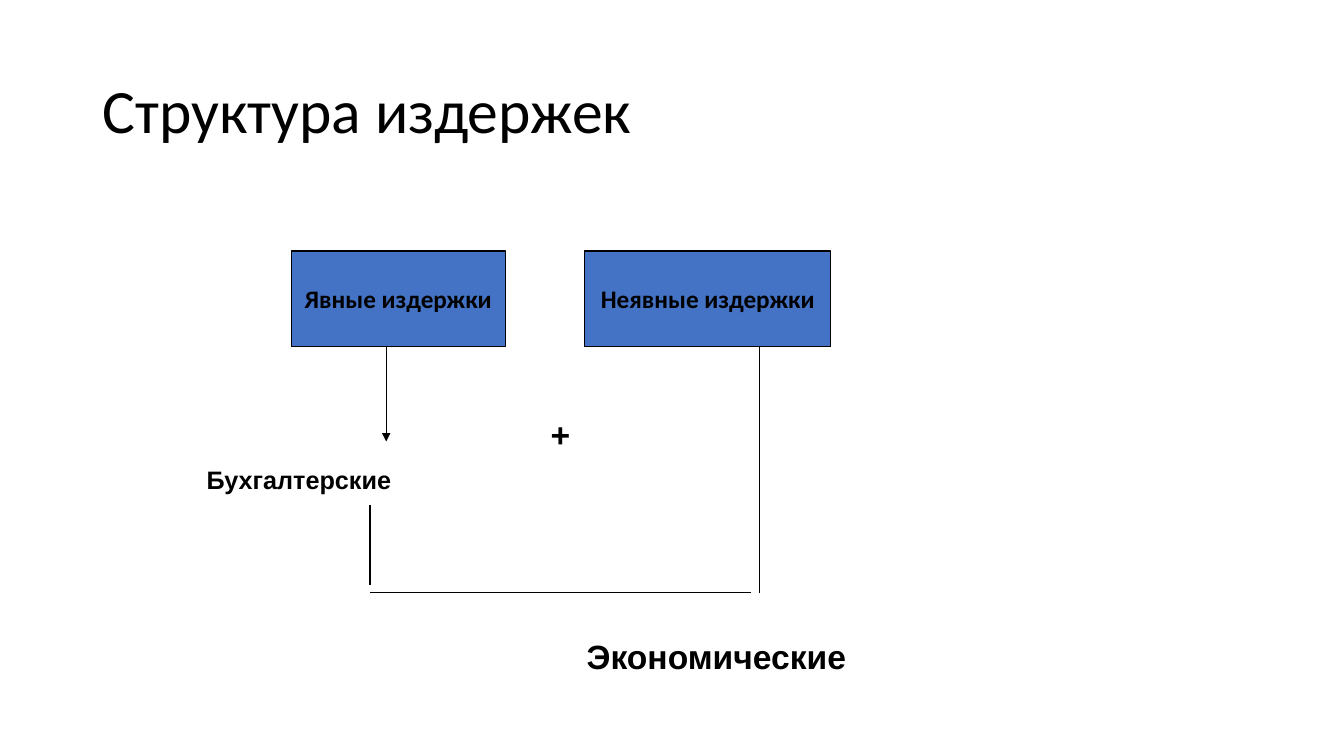
"""Build the cost structure slide."""
from lxml.etree import SubElement
from pptx import Presentation
from pptx.dml.color import RGBColor
from pptx.enum.shapes import MSO_CONNECTOR, MSO_SHAPE
from pptx.enum.text import MSO_ANCHOR, PP_ALIGN
from pptx.oxml.ns import qn
from pptx.util import Inches, Pt

BLACK = RGBColor(0x00, 0x00, 0x00)
BLUE = RGBColor(0x44, 0x72, 0xC4)

TITLE = ("Структура издержек", 0.92, 0.4, 11.5, 1.45)
BOX_TOP, BOX_HEIGHT = 2.49, 0.95
BOX_BOTTOM = BOX_TOP + BOX_HEIGHT
COST_BOXES = [("Явные издержки", 2.89, 2.12), ("Неявные издержки", 5.8, 2.44)]
LABELS = [
    ("Бухгалтерские", 1.95, 4.56, 2.03, 0.4, 18, False),
    ("+", 5.01, 4.06, 1.1, 0.5, 24, True),
    ("Экономические", 5.49, 6.26, 3.23, 0.5, 24, True),
]
BRACKET_LEFT, BRACKET_RIGHT, BRACKET_BOTTOM = 3.67, 7.53, 5.88
GAP = 0.08
LINES = [
    (3.83, BOX_BOTTOM, 3.83, 4.38, True),
    (BRACKET_LEFT, 5.01, BRACKET_LEFT, BRACKET_BOTTOM - GAP, False),
    (BRACKET_LEFT, BRACKET_BOTTOM, BRACKET_RIGHT - GAP, BRACKET_BOTTOM, False),
    (BRACKET_RIGHT, BRACKET_BOTTOM, BRACKET_RIGHT, BOX_BOTTOM, False),
]


def write(shape, text, size, font, bold=True, align=PP_ALIGN.CENTER,
          anchor=MSO_ANCHOR.MIDDLE, wrap=False):
    frame = shape.text_frame
    frame.text = text
    frame.word_wrap = wrap
    frame.vertical_anchor = anchor
    paragraph = frame.paragraphs[0]
    paragraph.alignment = align
    run_font = paragraph.runs[0].font
    run_font.name, run_font.size, run_font.bold = font, Pt(size), bold
    run_font.color.rgb = BLACK
    return paragraph


def set_outline(line):
    line.color.rgb = BLACK
    line.width = Pt(0.75)


def add_line(slide, x1, y1, x2, y2, arrow):
    connector = slide.shapes.add_connector(
        MSO_CONNECTOR.STRAIGHT, Inches(x1), Inches(y1), Inches(x2), Inches(y2))
    set_outline(connector.line)
    properties = connector._element.spPr
    if arrow:
        SubElement(properties.find(qn("a:ln")), qn("a:tailEnd"), type="triangle")
    SubElement(properties, qn("a:effectLst"))


def main():
    presentation = Presentation()
    presentation.slide_width, presentation.slide_height = Inches(13.33), Inches(7.5)
    slide = presentation.slides.add_slide(presentation.slide_layouts[6])

    text, *place = TITLE
    title = slide.shapes.add_textbox(*map(Inches, place))
    paragraph = write(title, text, 44, "Calibri", bold=False,
                      align=PP_ALIGN.LEFT, wrap=True)
    paragraph.line_spacing = 0.9

    for text, left, width in COST_BOXES:
        box = slide.shapes.add_shape(
            MSO_SHAPE.RECTANGLE, Inches(left), Inches(BOX_TOP),
            Inches(width), Inches(BOX_HEIGHT))
        box.shadow.inherit = False
        box.fill.solid()
        box.fill.fore_color.rgb = BLUE
        set_outline(box.line)
        write(box, text, 18, "Calibri")

    for line in LINES:
        add_line(slide, *line)

    for text, *place, size, wrap in LABELS:
        label = slide.shapes.add_textbox(*map(Inches, place))
        write(label, text, size, "Arial", anchor=MSO_ANCHOR.TOP, wrap=wrap)

    presentation.save("out.pptx")


if __name__ == "__main__":
    main()
